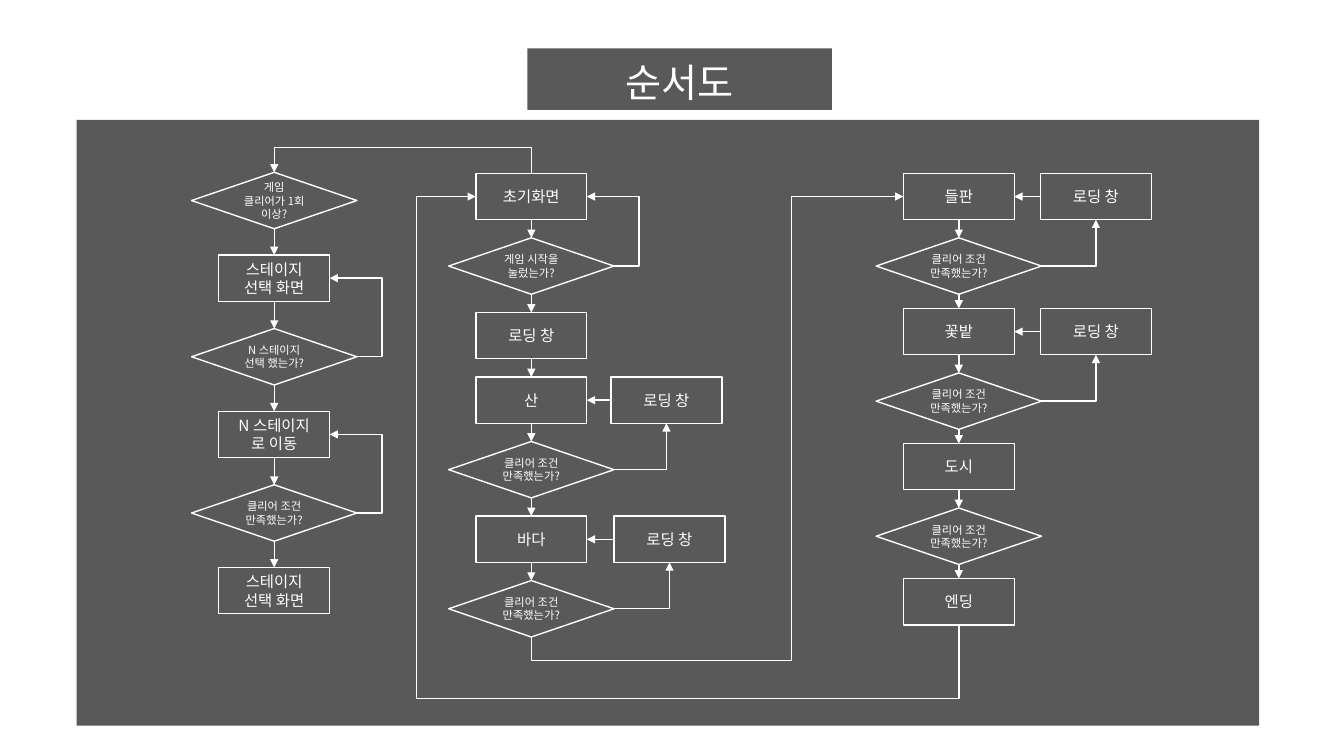
from dataclasses import dataclass

from lxml import etree
from pptx import Presentation
from pptx.dml.color import RGBColor
from pptx.enum.shapes import MSO_CONNECTOR, MSO_SHAPE
from pptx.enum.text import MSO_ANCHOR, MSO_AUTO_SIZE, PP_ALIGN
from pptx.oxml.ns import qn
from pptx.util import Inches, Pt

RECTANGLE = MSO_SHAPE.RECTANGLE
DECISION = MSO_SHAPE.FLOWCHART_DECISION
STRAIGHT, ELBOW = MSO_CONNECTOR.STRAIGHT, MSO_CONNECTOR.ELBOW
MIDDLE, CENTER = MSO_ANCHOR.MIDDLE, PP_ALIGN.CENTER
NO_AUTOFIT = MSO_AUTO_SIZE.NONE
TITLE_ONLY = 5
TOP, LEFT, BOTTOM, RIGHT = range(4)  # connection sites


@dataclass(frozen=True)
class Theme:
    panel: RGBColor = RGBColor(0, 0, 0)
    panel_alpha: int = 65
    ink: RGBColor = RGBColor(255, 255, 255)
    title_font: str = "Lato"
    body_font: str = "Noto Sans CJK KR"
    title_size: int = 28
    step_size: int = 11
    decision_size: int = 8
    line_width: int = 1


class Flowchart:
    STEP = (1.1, 0.46)
    CHECK = (1.64, 0.56)

    def __init__(self, slide, theme):
        self.slide, self.theme = slide, theme

    def label(self, shape, text, size, font):
        frame = shape.text_frame
        frame.text = text
        frame_format = {"word_wrap": True, "vertical_anchor": MIDDLE,
                        "auto_size": NO_AUTOFIT}
        for name, value in frame_format.items():
            setattr(frame, name, value)
        for paragraph in frame.paragraphs:
            paragraph.alignment = CENTER
            run_font = paragraph.runs[0].font
            font_format = {"size": Pt(size), "name": font, "bold": False}
            for name, value in font_format.items():
                setattr(run_font, name, value)
            run_font.color.rgb = self.theme.ink
            east_asian = etree.SubElement(run_font._element, qn("a:ea"))
            east_asian.set("typeface", self.theme.body_font)

    def panel(self, *box):
        panel = self.slide.shapes.add_shape(RECTANGLE, *map(Inches, box))
        panel.shadow.inherit = False
        panel.line.fill.background()
        panel.fill.solid()
        panel.fill.fore_color.rgb = self.theme.panel
        color = panel._element.spPr.find(".//" + qn("a:srgbClr"))
        alpha = etree.SubElement(color, qn("a:alpha"))
        alpha.set("val", str(self.theme.panel_alpha * 1000))
        return panel

    def title(self, text, banner, *box):
        title = self.slide.shapes.title
        sides = dict(zip(("left", "top", "width", "height"), box))
        for name, value in sides.items():
            setattr(title, name, Inches(value))
        self.label(title, text, self.theme.title_size, self.theme.title_font)
        banner._element.addnext(title._element)  # bring in front of its banner

    def node(self, kind, left, top, size, text, type_size):
        node = self.slide.shapes.add_shape(
            kind, *map(Inches, (left, top, *size)))
        node.shadow.inherit = False
        node.fill.background()
        node.line.color.rgb = self.theme.ink
        node.line.width = Pt(self.theme.line_width)
        self.label(node, text, type_size, self.theme.body_font)
        return node

    def step(self, left, top, text):
        return self.node(RECTANGLE, left, top, self.STEP, text,
                         self.theme.step_size)

    def column(self, center, top, step_gap, check_gap, texts):
        """Stack nodes joined by arrows; a text with "?" is a decision."""
        nodes = []
        for text in texts:
            is_check = "?" in text
            size = self.CHECK if is_check else self.STEP
            left = center - size[0] / 2
            if is_check:
                node = self.node(DECISION, left, top, size, text,
                                 self.theme.decision_size)
            else:
                node = self.step(left, top, text)
            if nodes:
                self.arrow(nodes[-1], BOTTOM, node, TOP)
            nodes.append(node)
            top += size[1] + (check_gap if is_check else step_gap)
        return nodes

    def arrow(self, source, exit_site, target, entry_site, kind=STRAIGHT):
        arrow = self.slide.shapes.add_connector(kind, 0, 0, 0, 0)
        arrow.begin_connect(source, exit_site)
        arrow.end_connect(target, entry_site)
        arrow.line.color.rgb = self.theme.ink
        arrow.line.width = Pt(self.theme.line_width)
        head = etree.SubElement(arrow.line._get_or_add_ln(), qn("a:tailEnd"))
        head.set("type", "triangle")
        etree.SubElement(arrow._element.spPr, qn("a:effectLst"))
        return arrow

    def elbow(self, source, exit_site, target, entry_site, *bends):
        """Bends are page positions in inches, alternating between axes."""
        arrow = self.arrow(source, exit_site, target, entry_site, ELBOW)
        begin = (arrow.begin_x, arrow.begin_y)
        span = (arrow.end_x - begin[0], arrow.end_y - begin[1])
        first_axis = int(exit_site in (TOP, BOTTOM))
        geometry = arrow._element.spPr.find(qn("a:prstGeom"))
        geometry.set("prst", f"bentConnector{len(bends) + 2}")
        guides = geometry.get_or_add_avLst()
        for number, bend in enumerate(bends):
            axis = (first_axis + number) % 2
            ratio = (Inches(bend) - begin[axis]) / span[axis]
            guide = etree.SubElement(guides, qn("a:gd"))
            guide.set("name", f"adj{number + 1}")
            guide.set("fmla", f"val {round(ratio * 100000)}")
        if first_axis:
            self.turn(arrow, begin, span)

    def turn(self, arrow, begin, span):
        """Rotate a connector by 90 degrees so that it leaves vertically."""
        width, height = abs(span[1]), abs(span[0])
        frame = {"left": begin[0] + (span[0] - width) // 2,
                 "top": begin[1] + (span[1] - height) // 2,
                 "width": width, "height": height}
        for name, value in frame.items():
            setattr(arrow, name, value)
        flips = {"rot": 90 * 60000, "flipH": int(span[1] < 0),
                 "flipV": int(span[0] > 0)}
        for name, value in flips.items():
            arrow._element.spPr.xfrm.set(name, str(value))

    def loading(self, left, stage, check):
        """Add a loading window that leads from a check back to its stage."""
        window = self.step(left, stage.top / Inches(1), "로딩 창")
        self.elbow(check, RIGHT, window, BOTTOM)
        self.arrow(window, LEFT, stage, RIGHT)


def main():
    deck = Presentation()
    deck.slide_width, deck.slide_height = Inches(13.33), Inches(7.5)
    slide = deck.slides.add_slide(deck.slide_layouts[TITLE_ONLY])
    chart = Flowchart(slide, Theme())
    cleared = "클리어 조건 만족했는가?"

    # Background and title
    chart.panel(0.76, 1.19, 11.73, 6.01)
    banner = chart.panel(5.23, 0.48, 3.02, 0.61)
    chart.title("순서도", banner, 5.35, 0.53, 2.78, 0.57)

    # Stage selection
    replay, select, chosen, move, stage_clear, _ = chart.column(
        2.72, 1.71, 0.27, 0.26,
        ["게임 클리어가 1회 이상?", "스테이지\n선택 화면",
         "N 스테이지 선택 했는가?", "N 스테이지\n로 이동",
         cleared, "스테이지\n선택 화면"])
    for check, step in ((chosen, select), (stage_clear, move)):
        chart.elbow(check, RIGHT, step, RIGHT, 3.79)

    # Start of the game and the first stages
    home, started, _, mountain, mountain_clear, sea, sea_clear = chart.column(
        5.27, 1.72, 0.18, 0.18,
        ["초기화면", "게임 시작을 눌렀는가?", "로딩 창",
         "산", cleared, "바다", cleared])
    chart.elbow(started, RIGHT, home, RIGHT, 6.34)
    chart.loading(6.06, mountain, mountain_clear)
    chart.loading(6.09, sea, sea_clear)

    # Later stages and the ending
    field, field_clear, garden, garden_clear, _, _, ending = chart.column(
        9.51, 1.72, 0.18, 0.14,
        ["들판", cleared, "꽃밭", cleared, "도시", cleared, "엔딩"])
    chart.loading(10.32, field, field_clear)
    chart.loading(10.32, garden, garden_clear)

    # Routes between columns
    chart.elbow(home, TOP, replay, TOP, 1.46)
    chart.elbow(sea_clear, BOTTOM, field, LEFT, 6.55, 7.85)
    chart.elbow(ending, BOTTOM, home, LEFT, 6.93, 4.13)

    deck.save("out.pptx")


if __name__ == "__main__":
    main()
